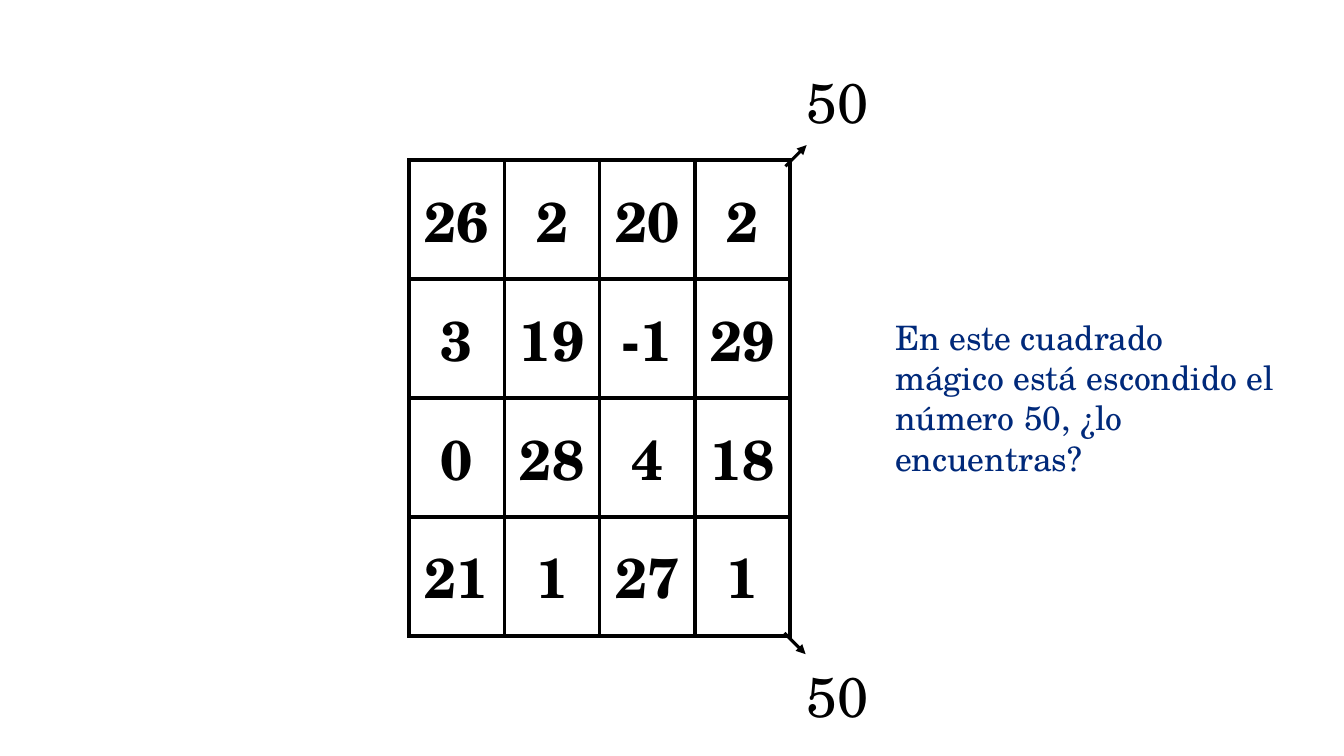
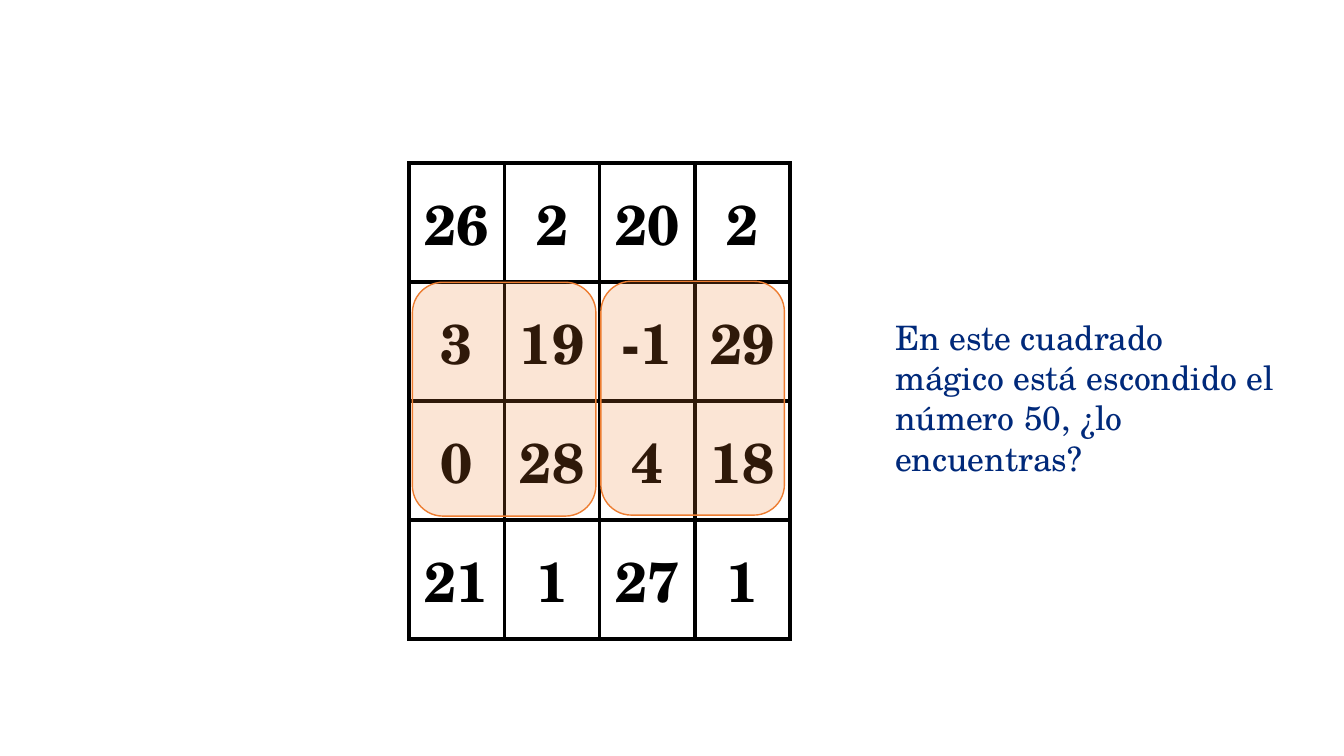
from typing import NamedTuple

from lxml import etree
from pptx import Presentation
from pptx import util as u
from pptx.dml.color import RGBColor
from pptx.enum import shapes, text
from pptx.oxml.ns import qn

# Shared look
FONT = "TeX Gyre Schola"
BLACK, NAVY, ORANGE = "000000", "00297A", "ED7D31"
GRID_LINE = u.Pt(3)
CELL_W, CELL_H = u.Inches(4.72) // 5, u.Inches(1.18)
GRID_LEFT = 4.06
QUESTION = "En este cuadrado mágico está escondido el número 50, ¿lo encuentras?"

# Magic square
SQUARE = ((26, 2, 20, 2), (3, 19, -1, 29), (0, 28, 4, 18), (21, 1, 27, 1))
ORDER = len(SQUARE)
TOTAL = 50
SIDES = {"lnL": (0, -1), "lnR": (0, 1), "lnT": (-1, 0), "lnB": (1, 0)}


class Arrow(NamedTuple):
    x1: float
    y1: float
    x2: float
    y2: float


class Highlight(NamedTuple):
    left: float
    top: float
    width: float = 1.82
    height: float = 2.32


ARROWS = (Arrow(7.79, 1.65, 8, 1.44), Arrow(7.78, 6.28, 7.99, 6.49))
HIGHLIGHTS = (Highlight(4.09, 2.8), Highlight(5.96, 2.79))


def rgb(code: str) -> RGBColor:
    return RGBColor.from_string(code)


def format_font(font, size: int, color: str, bold: bool = False) -> None:
    for name, value in {"name": FONT, "size": u.Pt(size), "bold": bold}.items():
        setattr(font, name, value)
    font.color.rgb = rgb(color)


def in_square(row: int, col: int) -> bool:
    return 0 <= row < ORDER and 0 <= col < ORDER


def draw_edges(cell, row: int, col: int) -> None:
    """Rule every side that touches the magic square; clear the others."""
    properties = cell._tc.get_or_add_tcPr()
    for side, (down, right) in SIDES.items():
        edge = etree.SubElement(properties, qn(f"a:{side}"), w=str(GRID_LINE))
        if in_square(row, col) or in_square(row + down, col + right):
            fill = etree.SubElement(edge, qn("a:solidFill"))
            etree.SubElement(fill, qn("a:srgbClr"), val=BLACK)
        else:
            etree.SubElement(edge, qn("a:noFill"))


def write_number(cell, number: int, bold: bool) -> None:
    cell.vertical_anchor = text.MSO_ANCHOR.MIDDLE
    paragraph = cell.text_frame.paragraphs[0]
    paragraph.alignment = text.PP_ALIGN.CENTER
    run = paragraph.add_run()
    run.text = str(number)
    format_font(run.font, 40, BLACK, bold)


def add_square(slide, top: float, with_totals: bool) -> None:
    """Draw the square, optionally with a margin holding the diagonal totals."""
    margin = 1 if with_totals else 0
    rows, cols = ORDER + 2 * margin, ORDER + margin
    table = slide.shapes.add_table(
        rows, cols, u.Inches(GRID_LEFT), u.Inches(top), CELL_W * cols, CELL_H * rows
    ).table
    table.first_row = table.horz_banding = False
    for column in table.columns:
        column.width = CELL_W
    for row in range(-margin, ORDER + margin):
        table.rows[row + margin].height = CELL_H
        for col in range(cols):
            cell = table.cell(row + margin, col)
            draw_edges(cell, row, col)
            cell.fill.background()
            if in_square(row, col):
                write_number(cell, SQUARE[row][col], True)
            elif col == ORDER and row in (-1, ORDER):
                write_number(cell, TOTAL, False)


def add_arrow(slide, arrow: Arrow) -> None:
    connector = slide.shapes.add_connector(
        shapes.MSO_CONNECTOR.STRAIGHT, *(u.Inches(value) for value in arrow)
    )
    connector.line.width = u.Pt(2.25)
    connector.line.color.rgb = rgb(BLACK)
    etree.SubElement(connector.line._get_or_add_ln(), qn("a:tailEnd"), type="triangle")
    etree.SubElement(connector._element.spPr, qn("a:effectLst"))


def add_highlight(slide, area: Highlight) -> None:
    block = slide.shapes.add_shape(
        shapes.MSO_SHAPE.ROUNDED_RECTANGLE, *(u.Inches(value) for value in area)
    )
    block.shadow.inherit = False
    block.fill.solid()
    block.fill.fore_color.rgb = rgb(ORANGE)
    tint = block._element.spPr.find(qn("a:solidFill")).find(qn("a:srgbClr"))
    etree.SubElement(tint, qn("a:alpha"), val="20000")
    block.line.color.rgb = rgb(ORANGE)
    block.line.width = u.Pt(1)


def add_question(slide) -> None:
    box = slide.shapes.add_textbox(
        u.Inches(8.78), u.Inches(3.09), u.Inches(4.02), u.Inches(1.31)
    )
    frame = box.text_frame
    frame.word_wrap = True
    frame.auto_size = text.MSO_AUTO_SIZE.SHAPE_TO_FIT_TEXT
    run = frame.paragraphs[0].add_run()
    run.text = QUESTION
    format_font(run.font, 24, NAVY)


def main() -> None:
    deck = Presentation()
    deck.slide_width, deck.slide_height = u.Inches(13.33), u.Inches(7.5)
    blank = deck.slide_layouts[6]

    # Diagonal totals
    diagonals = deck.slides.add_slide(blank)
    add_square(diagonals, 0.41, with_totals=True)
    for arrow in ARROWS:
        add_arrow(diagonals, arrow)
    add_question(diagonals)

    # Two-by-two blocks
    blocks = deck.slides.add_slide(blank)
    add_square(blocks, 1.62, with_totals=False)
    for area in HIGHLIGHTS:
        add_highlight(blocks, area)
    add_question(blocks)

    deck.save("out.pptx")


if __name__ == "__main__":
    main()
